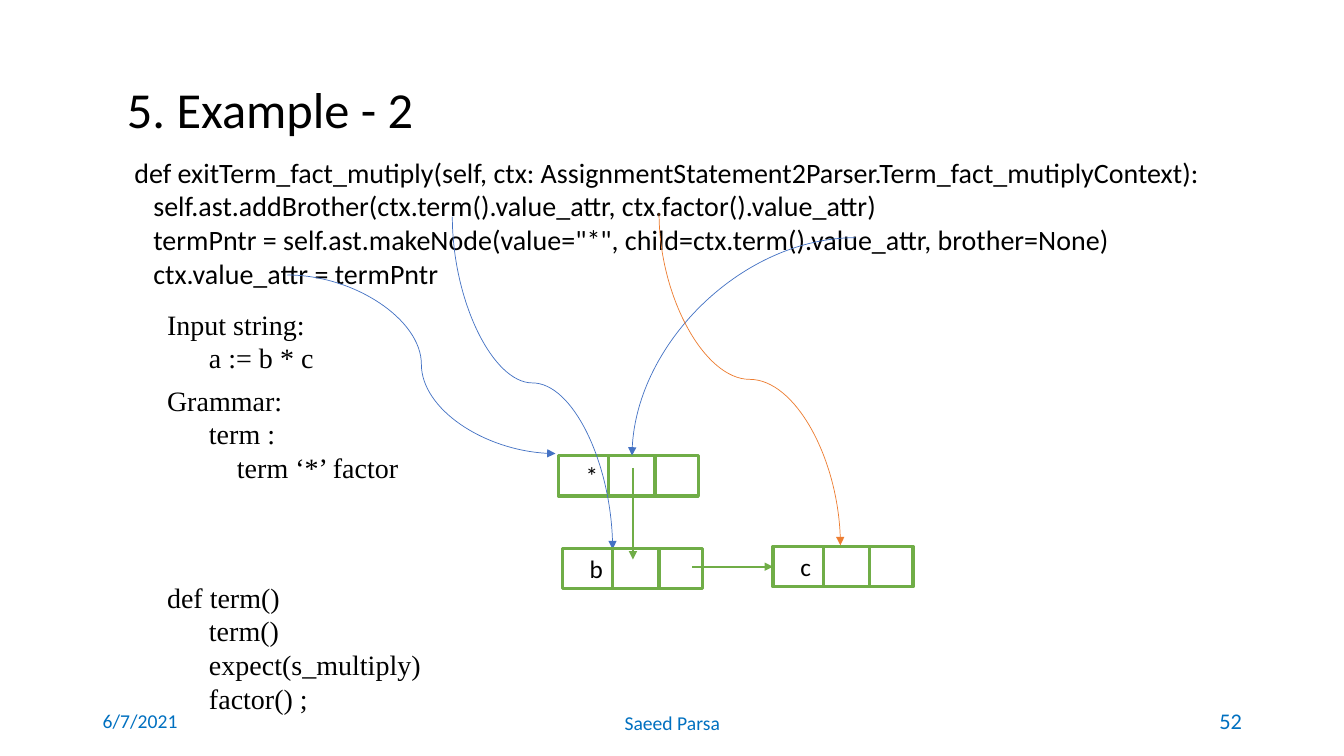
import collections

import pptx
import pptx.dml.color
import pptx.enum.shapes
import pptx.enum.text
import pptx.oxml
import pptx.oxml.ns
import pptx.util

Cm = pptx.util.Cm
Pt = pptx.util.Pt
RGBColor = pptx.dml.color.RGBColor
CONNECTOR = pptx.enum.shapes.MSO_CONNECTOR
ALIGN = pptx.enum.text.PP_ALIGN
ANCHOR = pptx.enum.text.MSO_ANCHOR
qn = pptx.oxml.ns.qn

BLACK = RGBColor(0x00, 0x00, 0x00)
WHITE = RGBColor(0xFF, 0xFF, 0xFF)
FOOTER_BLUE = RGBColor(0x00, 0x70, 0xC0)
CURVE_BLUE = RGBColor(0x44, 0x72, 0xC4)
CURVE_ORANGE = RGBColor(0xED, 0x7D, 0x31)
NODE_GREEN = RGBColor(0x70, 0xAD, 0x47)

NODE_WIDTH, NODE_HEIGHT = 3.53, 1.02
LINK_OFFSET, LINK_WIDTH = 1.27, 1.17

Box = collections.namedtuple("Box", "left top width height")

CODE = [
    "     def exitTerm_fact_mutiply(self, ctx: AssignmentStatement2Parser.Term_fact_mutiplyContext):",
    "        self.ast.addBrother(ctx.term().value_attr, ctx.factor().value_attr)",
    '        termPntr = self.ast.makeNode(value="*", child=ctx.term().value_attr, brother=None)',
    "        ctx.value_attr = termPntr",
]
NOTES = [
    (0, ["Input string:", "      a := b * c"]),
    (1.91, ["Grammar:", "      term :", "          term ‘*’ factor"]),
    (6.88, ["def term()", "      term()", "      expect(s_multiply)", "      factor() ;"]),
]


def write_lines(frame, lines, size, font="Calibri", color=BLACK, align=ALIGN.LEFT):
    frame.text = "\n".join(lines)
    for para in frame.paragraphs:
        para.alignment = align
        for span in para.runs:
            span.font.name = font
            span.font.size = Pt(size)
            span.font.color.rgb = color


def add_text(page, box, lines, size, anchor=ANCHOR.TOP, **style):
    frame = page.shapes.add_textbox(*map(Cm, box)).text_frame
    frame.word_wrap = True
    frame.vertical_anchor = anchor
    write_lines(frame, lines, size, **style)
    return frame


def add_arrow(page, kind, start, end, color, width):
    arrow = page.shapes.add_connector(kind, *map(Cm, start + end))
    arrow.line.color.rgb = color
    arrow.line.width = Pt(width)
    properties = arrow._element.spPr
    head = pptx.oxml.parse_xml(f'<a:tailEnd {pptx.oxml.ns.nsdecls("a")} type="triangle"/>')
    properties.find(qn("a:ln")).append(head)
    properties.append(pptx.oxml.parse_xml(f'<a:effectLst {pptx.oxml.ns.nsdecls("a")}/>'))
    return arrow


def add_falling_curve(page, start, end, color):
    across, down = end[0] - start[0], end[1] - start[1]
    middle_x, middle_y = (start[0] + end[0]) / 2, (start[1] + end[1]) / 2
    turned_start = (middle_x + down / 2, middle_y - across / 2)
    turned_end = (middle_x - down / 2, middle_y + across / 2)
    curve = add_arrow(page, CONNECTOR.CURVE, turned_start, turned_end, color, 0.5)
    curve._element.spPr.find(qn("a:xfrm")).set("rot", str(270 * 60000))


def add_cell(page, box):
    cell = page.shapes.add_shape(pptx.enum.shapes.MSO_SHAPE.RECTANGLE, *map(Cm, box))
    cell.shadow.inherit = False
    cell.fill.solid()
    cell.fill.fore_color.rgb = WHITE
    cell.line.color.rgb = NODE_GREEN
    cell.line.width = Pt(2.25)
    return cell


def draw_node(page, box, label):
    node = add_cell(page, box)
    node.text_frame.margin_left = Cm(0.69)
    node.text_frame.vertical_anchor = ANCHOR.MIDDLE
    write_lines(node.text_frame, [label], 18)
    add_cell(page, Box(box.left + LINK_OFFSET, box.top, LINK_WIDTH, box.height))
    return node


def draw_tree(page, box):
    def at(x, y):
        return (box.left + x, box.top + y)

    def node_box(x, y):
        return Box(*at(x, y), NODE_WIDTH, NODE_HEIGHT)

    draw_node(page, node_box(6.83, 6.1), "*")
    add_falling_curve(page, at(4.16, 0.08), at(8.2, 8.46), CURVE_BLUE)
    draw_node(page, node_box(6.93, 8.44), "b")
    add_arrow(page, CONNECTOR.STRAIGHT, at(8.71, 6.41), at(8.71, 8.72), NODE_GREEN, 1.5)

    quarter = add_arrow(page, CONNECTOR.CURVE, at(14.32, 0.61), at(8.69, 6.1), CURVE_BLUE, 0.5)
    quarter._element.spPr.find(qn("a:prstGeom")).set("prst", "curvedConnector2")
    add_arrow(page, CONNECTOR.CURVE, at(0, 1.55), at(6.76, 6.05), CURVE_BLUE, 0.5)

    brother = draw_node(page, node_box(12.24, 8.39), "c")
    link = add_arrow(page, CONNECTOR.STRAIGHT, at(10.21, 8.9), at(12.24, 8.9), NODE_GREEN, 1.5)
    link.end_connect(brother, 1)
    add_falling_curve(page, at(9.37, 0), at(13.94, 8.36), CURVE_ORANGE)


def draw_heading(page, box):
    frame = add_text(page, box, ["5. Example - 2"], 36)
    frame.paragraphs[0].line_spacing = 0.9


def draw_notes(page, box):
    for offset, lines in NOTES:
        height = 0.25 + 0.86 * len(lines)
        note_box = Box(box.left, box.top + offset, box.width, height)
        add_text(page, note_box, lines, 20, font="Times New Roman")


def draw_footer(page, box):
    side = 7.62
    parts = [
        (0, side, 1.02, "6/7/2021", 14, ALIGN.LEFT),
        (side, box.width - 2 * side, box.height, "Saeed Parsa", 14, ALIGN.CENTER),
        (box.width - side, side, 1.02, "52", 16, ALIGN.RIGHT),
    ]
    for offset, width, height, words, size, align in parts:
        part_box = Box(box.left + offset, box.top, width, height)
        add_text(page, part_box, [words], size, ANCHOR.MIDDLE, color=FOOTER_BLUE, align=align)


def main():
    deck = pptx.Presentation()
    deck.slide_width, deck.slide_height = Cm(33.87), Cm(19.05)
    page = deck.slides.add_slide(deck.slide_layouts[6])
    draw_footer(page, Box(2.34, 17.65, 29.21, 1.14))
    add_text(page, Box(2.34, 3.79, 30.07, 3.67), CODE, 20)
    draw_heading(page, Box(2.95, 2.01, 13.23, 1.47))
    draw_notes(page, Box(3.96, 7.62, 7.24, 10.56))
    draw_tree(page, Box(7.24, 5.38, 15.77, 9.48))
    deck.save("out.pptx")


if __name__ == "__main__":
    main()
